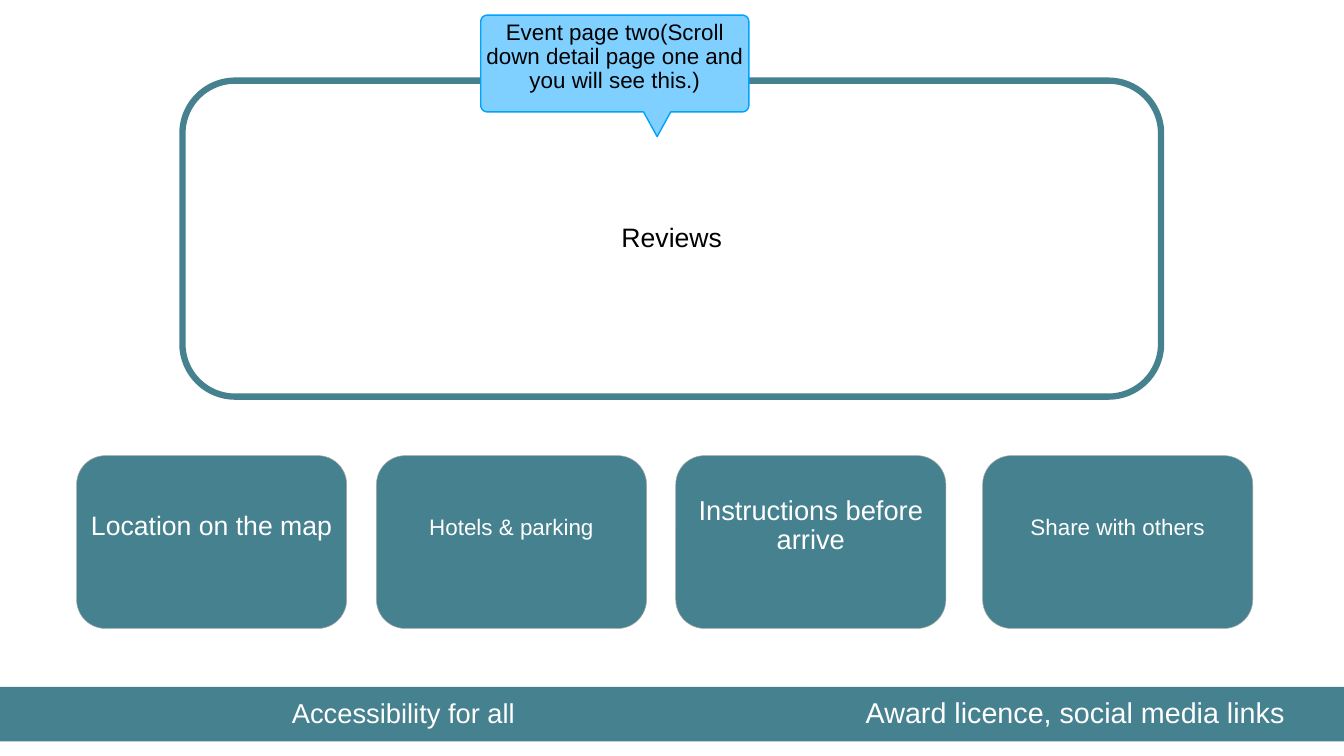
from dataclasses import dataclass
from math import cos, radians, sin

from pptx import Presentation
from pptx.dml.color import RGBColor as Rgb
from pptx.enum.shapes import MSO_SHAPE as Kind
from pptx.enum.text import MSO_ANCHOR as Anchor, PP_ALIGN as Align
from pptx.util import Inches, Pt


@dataclass(frozen=True)
class Theme:
    font: str = "Arial"
    teal: str = "45818E"
    grey: str = "A7A7A7"
    sky: str = "80D0FF"
    blue: str = "00A2FF"
    black: str = "000000"
    white: str = "FFFFFF"
    small: int = 32
    mid: int = 38
    large: int = 39
    huge: int = 41


THEME = Theme()


def apply(item, values):
    for name, value in values.items():
        setattr(item, name, value)


def paint(shape, fill=None, line=None, width=0):
    shape.shadow.inherit = False
    if fill:
        shape.fill.solid()
        shape.fill.fore_color.rgb = Rgb.from_string(fill)
    else:
        shape.fill.background()
    if line:
        shape.line.color.rgb = Rgb.from_string(line)
        shape.line.width = Pt(width)
    else:
        shape.line.fill.background()


def write(shape, text, size, color, inset=0.06, foot=None, space=0.9):
    frame = shape.text_frame
    side = Inches(inset)
    apply(frame, {
        "text": text, "word_wrap": True, "vertical_anchor": Anchor.MIDDLE,
        "margin_left": side, "margin_right": side, "margin_top": side,
        "margin_bottom": Inches(foot or inset),
    })
    para = frame.paragraphs[0]
    apply(para, {"alignment": Align.CENTER, "line_spacing": space})
    font = para.runs[0].font
    apply(font, {"name": THEME.font, "size": Pt(size)})
    font.color.rgb = Rgb.from_string(color)


def add_box(slide, kind, box, **style):
    shape = slide.shapes.add_shape(kind, *map(Inches, box))
    if kind == Kind.ROUNDED_RECTANGLE:
        shape.adjustments[0] = 0.167
    paint(shape, **style)
    return shape


def add_bubble(slide, left, top, right, base, tip, radius):
    # Each corner is an arc around its centre, taken clockwise
    def arc(x, y, start):
        angles = [radians(start + step) for step in range(0, 91, 10)]
        return [(x + radius * cos(a), y + radius * sin(a)) for a in angles]

    west, east = left + radius, right - radius
    north, south = top + radius, base - radius
    x, y = tip
    points = (arc(west, north, 180) + arc(east, north, 270)
              + arc(east, south, 0)
              + [(x + 0.27, base), tip, (x - 0.27, base)]
              + arc(west, south, 90))
    points = [(Inches(a), Inches(b)) for a, b in points]
    path = slide.shapes.build_freeform(*points[0], scale=1.0)
    path.add_line_segments(points[1:], close=True)
    paint(path.convert_to_shape(), THEME.sky, THEME.blue, 2)


def add_card(slide, left, text, size, space):
    card = add_box(slide, Kind.ROUNDED_RECTANGLE, (left, 9.04, 5.36, 3.43),
                   fill=THEME.teal, line=THEME.grey, width=0.75)
    # The deeper foot lifts the label above the middle
    write(card, text, size, THEME.white, inset=0.1, foot=0.72, space=space)


def add_bar(slide, left, width, text, size):
    bar = add_box(slide, Kind.RECTANGLE, (left, 13.63, width, 1.08),
                  fill=THEME.teal)
    write(bar, text, size, THEME.white)


def main():
    deck = Presentation()
    apply(deck, {"slide_width": Inches(26.67), "slide_height": Inches(15)})
    slide = deck.slides.add_slide(deck.slide_layouts[6])

    # Reviews panel
    panel = add_box(slide, Kind.ROUNDED_RECTANGLE, (3.62, 1.6, 19.42, 6.27),
                    line=THEME.teal, width=9)
    write(panel, "Reviews", THEME.mid, THEME.black)

    # Callout
    add_bubble(slide, 9.54, 0.3, 14.86, 2.22, (13.04, 2.71), 0.13)
    label = slide.shapes.add_textbox(*map(Inches, (9.54, 0.22, 5.32, 1.82)))
    write(label, "Event page two(Scroll down detail page one and "
          "you will see this.)", THEME.small, THEME.black)

    # Footer bars
    add_bar(slide, 0, 16.01, "Accessibility for all", THEME.large)
    add_bar(slide, 16.01, 10.66, "Award licence, social media links",
            THEME.huge)

    # Cards
    for card in (
        (1.52, "Location on the map", THEME.mid, 0.9),
        (7.47, "Hotels & parking", THEME.small, 1.0),
        (13.41, "Instructions before arrive", THEME.large, 0.9),
        (19.5, "Share with others", THEME.small, 1.0),
    ):
        add_card(slide, *card)

    deck.save("out.pptx")


if __name__ == "__main__":
    main()
